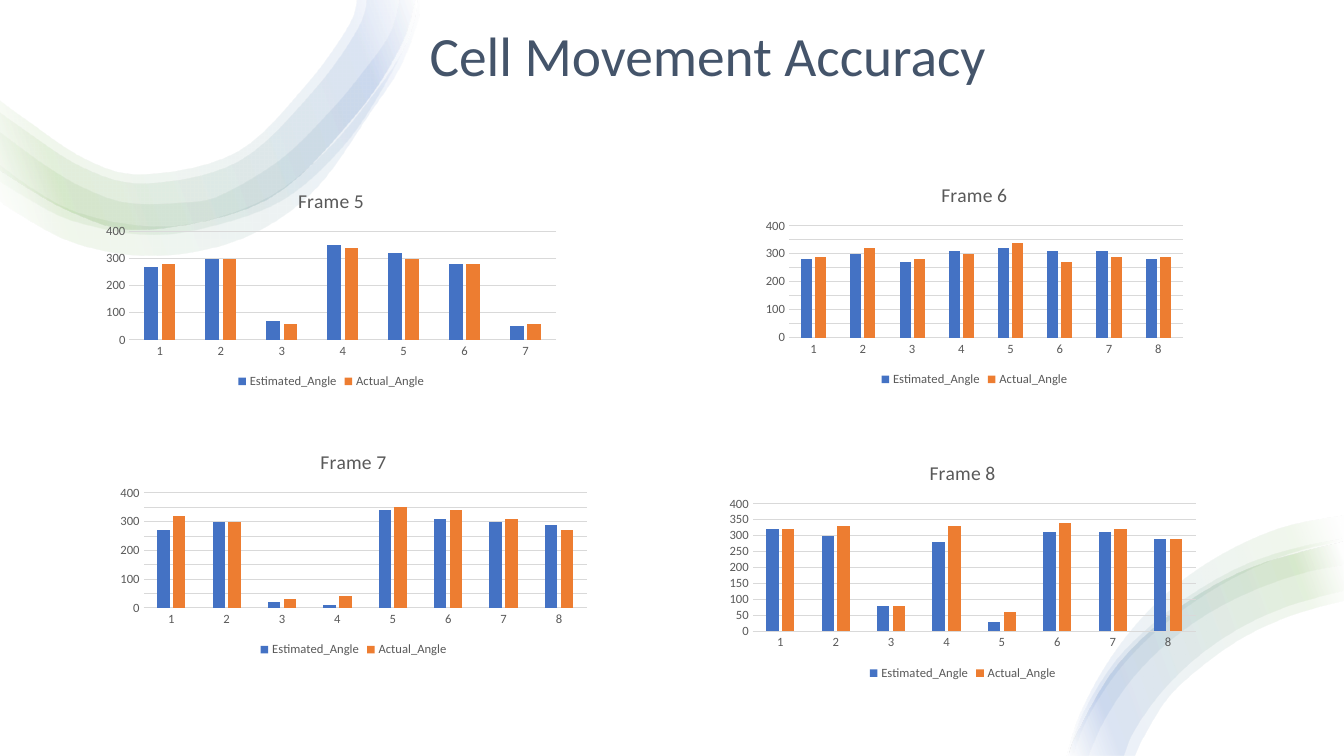
from lxml import etree
from pptx import Presentation
from pptx.chart.data import CategoryChartData
from pptx.dml.color import RGBColor
from pptx.enum.chart import XL_CHART_TYPE, XL_LEGEND_POSITION, XL_TICK_MARK
from pptx.enum.text import MSO_ANCHOR, PP_ALIGN
from pptx.oxml.ns import qn
from pptx.util import Cm, Pt

COLUMN = XL_CHART_TYPE.COLUMN_CLUSTERED
BOTTOM = XL_LEGEND_POSITION.BOTTOM
NO_TICK = XL_TICK_MARK.NONE
MIDDLE = MSO_ANCHOR.MIDDLE
LEFT = PP_ALIGN.LEFT
FONT = "Calibri"
GREY, PALE = "595959", "D9D9D9"
UNIT = Cm(2.54)
STEPS = 6
STOPS = [(2, "FFFFFF"), (16, "70AD47"), (85, "4472C4"), (100, "FFFFFF")]
SERIES = [("Estimated_Angle", "4472C4"), ("Actual_Angle", "ED7D31")]

TOP_RIM = [(4.12, -.04), (3.97, .46), (3.51, 1.16), (2.65, 1.98), (1.45, 2.28),
           (.7, 2.1), (-.06, 1.65)]
LOW_RIM = [(10.61, 7.5), (10.67, 7.31), (11.07, 6.62), (11.67, 6.05),
           (12.41, 5.63), (13.33, 5.37)]
TOP_BANDS = [
    ([(4.16, -.04), (4.14, .21), (3.96, .68), (3.67, 1.12), (3.23, 1.76),
      (2.83, 2.13), (2.34, 2.39), (1.78, 2.52), (1.22, 2.52), (.66, 2.38),
      (.17, 2.11), (-.06, 1.95)],
     [(-.06, 1.59), (.34, 1.88), (.78, 2.11), (1.41, 2.24), (2, 2.2),
      (2.69, 1.94), (3.27, 1.46), (3.76, .86), (4, .49), (4.11, .2),
      (4.14, -.04)]),
    ([(4.12, -.04), (4.08, .29), (3.8, .86), (3.39, 1.46), (2.8, 1.98),
      (2.05, 2.25), (1.42, 2.32), (.71, 2.18), (.24, 1.94), (-.06, 1.75)],
     [(-.06, 1.26), (.46, 1.64), (.86, 1.87), (1.29, 2.01), (1.87, 2),
      (2.21, 1.92), (2.79, 1.57), (3.28, 1.09), (3.59, .72), (3.86, .34),
      (3.97, -.04)]),
    (TOP_RIM,
     [(-.06, 1.07), (.19, 1.25), (.82, 1.66), (1.45, 1.82), (2.37, 1.6),
      (3.11, .9), (3.55, .28), (3.64, -.04)]),
    (TOP_RIM,
     [(-.06, .95), (.25, 1.18), (.87, 1.59), (1.45, 1.73), (2.35, 1.51),
      (3.03, .85), (3.46, .25), (3.54, -.04)]),
]
LOW_BANDS = [
    ([(10.58, 7.5), (10.71, 7.09), (10.97, 6.6), (11.31, 6.15), (11.73, 5.76),
      (12.22, 5.45), (12.75, 5.23), (13.33, 5.12)],
     [(13.33, 5.37), (12.85, 5.48), (12.35, 5.68), (11.88, 5.95),
      (11.45, 6.28), (11.08, 6.67), (10.79, 7.12), (10.64, 7.5)]),
    (LOW_RIM,
     [(13.33, 5.96), (12.83, 6.1), (12.36, 6.31), (11.95, 6.59),
      (11.6, 6.91), (11.36, 7.29), (11.26, 7.5)]),
    ([(10.6, 7.5), (10.75, 7.07), (11.05, 6.58), (11.4, 6.22), (11.83, 5.89),
      (12.31, 5.62), (12.8, 5.45), (13.33, 5.34)],
     [(13.33, 5.6), (12.91, 5.69), (12.43, 5.86), (11.98, 6.09),
      (11.57, 6.39), (11.22, 6.75), (10.95, 7.16), (10.8, 7.5)]),
    (LOW_RIM,
     [(13.33, 5.86), (12.79, 6.01), (12.32, 6.22), (11.89, 6.51),
      (11.53, 6.86), (11.26, 7.24), (11.15, 7.5)]),
]
CHARTS = [
    ("Frame 5", (2.44, 4.39, 11.81, 5.51), 100,
     [270, 300, 70, 350, 320, 280, 50], [280, 300, 60, 340, 300, 280, 60]),
    ("Frame 6", (19.08, 4.24, 10.95, 5.61), 50,
     [280, 300, 270, 310, 320, 310, 310, 280],
     [290, 320, 280, 300, 340, 270, 290, 290]),
    ("Frame 8", (18.14, 11.23, 12.24, 6.02), 50,
     [320, 300, 80, 280, 30, 310, 310, 290],
     [320, 330, 80, 330, 60, 340, 320, 290]),
    ("Frame 7", (2.79, 10.97, 12.24, 5.69), 50,
     [270, 300, 20, 10, 340, 310, 300, 290],
     [320, 300, 30, 40, 350, 340, 310, 270]),
]


def tint(code):
    """Turn a hex string into a colour."""
    return RGBColor.from_string(code)


def style(font, size, code):
    """Set the face, size and colour of a font."""
    font.name, font.size, font.bold = FONT, Pt(size), False
    font.color.rgb = tint(code)


def place(shape, box):
    """Move a shape to a box given in centimetres."""
    shape.left, shape.top, shape.width, shape.height = map(Cm, box)


def smooth(knots):
    """Return points on a Catmull-Rom curve through the knots."""
    ends = [knots[0], *knots, knots[-1]]
    points = []
    for a, b, c, d in zip(ends, ends[1:], ends[2:], ends[3:]):
        for step in range(STEPS):
            t = step / STEPS
            points.append(tuple(
                q + t / 2 * (r - p + t * (2 * p - 5 * q + 4 * r - s
                                          + t * (3 * q - p - 3 * r + s)))
                for p, q, r, s in zip(a, b, c, d)))
    return points + [knots[-1]]


def add_band(slide, outer, inner, angle):
    """Draw one translucent ribbon between two curved edges."""
    points = [(round(x * UNIT), round(y * UNIT))
              for x, y in smooth(outer) + smooth(inner)]
    builder = slide.shapes.build_freeform(*points[0])
    builder.add_line_segments(points[1:])
    band = builder.convert_to_shape()
    band.shadow.inherit = False
    band.line.fill.background()
    band.fill.gradient()
    band.fill.gradient_angle = angle
    stops = next(band.element.spPr.iter(qn("a:gsLst")))
    stops.clear()
    for spot, code in STOPS:
        stop = etree.SubElement(stops, qn("a:gs"), pos=str(spot * 1000))
        color = etree.SubElement(stop, qn("a:srgbClr"), val=code)
        etree.SubElement(color, qn("a:alpha"), val="10000")


def set_title(slide, text):
    """Fill and format the slide title."""
    title = slide.shapes.title
    place(title, (10.57, 0.62, 20.96, 1.7))
    frame = title.text_frame
    frame.text = text
    frame.vertical_anchor = MIDDLE
    para = frame.paragraphs[0]
    para.alignment, para.line_spacing = LEFT, 0.9
    style(para.runs[0].font, 39.6, "44546A")


def set_axes(chart, major):
    """Format both axes and the grid."""
    for axis in (chart.category_axis, chart.value_axis):
        axis.major_tick_mark = axis.minor_tick_mark = NO_TICK
        style(axis.tick_labels.font, 9, GREY)
    scale = chart.value_axis
    scale.minimum_scale, scale.maximum_scale = 0, 400
    scale.major_unit = major
    scale.format.line.fill.background()
    for line in (chart.category_axis.format.line,
                 scale.major_gridlines.format.line):
        line.color.rgb, line.width = tint(PALE), Pt(0.75)


def add_graph(slide, name, box, major, *values):
    """Add one column chart of estimated and actual angles."""
    data = CategoryChartData()
    data.categories = [str(n + 1) for n in range(len(values[0]))]
    for (label, _), row in zip(SERIES, values):
        data.add_series(label, row)
    chart = slide.shapes.add_chart(COLUMN, *map(Cm, box), data).chart
    style(chart.font, 10, "000000")
    chart.has_title = True
    frame = chart.chart_title.text_frame
    frame.text = name
    style(frame.paragraphs[0].runs[0].font, 14, GREY)
    chart.has_legend = True
    chart.legend.position = BOTTOM
    chart.legend.include_in_layout = False
    style(chart.legend.font, 9, GREY)
    plot = chart.plots[0]
    plot.gap_width, plot.overlap, plot.vary_by_categories = 219, -27, False
    for series, (_, code) in zip(plot.series, SERIES):
        series.format.fill.solid()
        series.format.fill.fore_color.rgb = tint(code)
    set_axes(chart, major)


def main():
    """Build and save the slide."""
    deck = Presentation()
    deck.slide_width, deck.slide_height = Cm(33.87), Cm(19.05)
    slide = deck.slides.add_slide(deck.slide_layouts[5])
    slide.background.fill.solid()
    slide.background.fill.fore_color.rgb = tint("FFFFFF")
    for bands, angle in ((TOP_BANDS, 20), (LOW_BANDS, 200)):
        for outer, inner in bands:
            add_band(slide, outer, inner, angle)
    set_title(slide, "Cell Movement Accuracy")
    for graph in CHARTS:
        add_graph(slide, *graph)
    deck.save("out.pptx")


if __name__ == "__main__":
    main()
